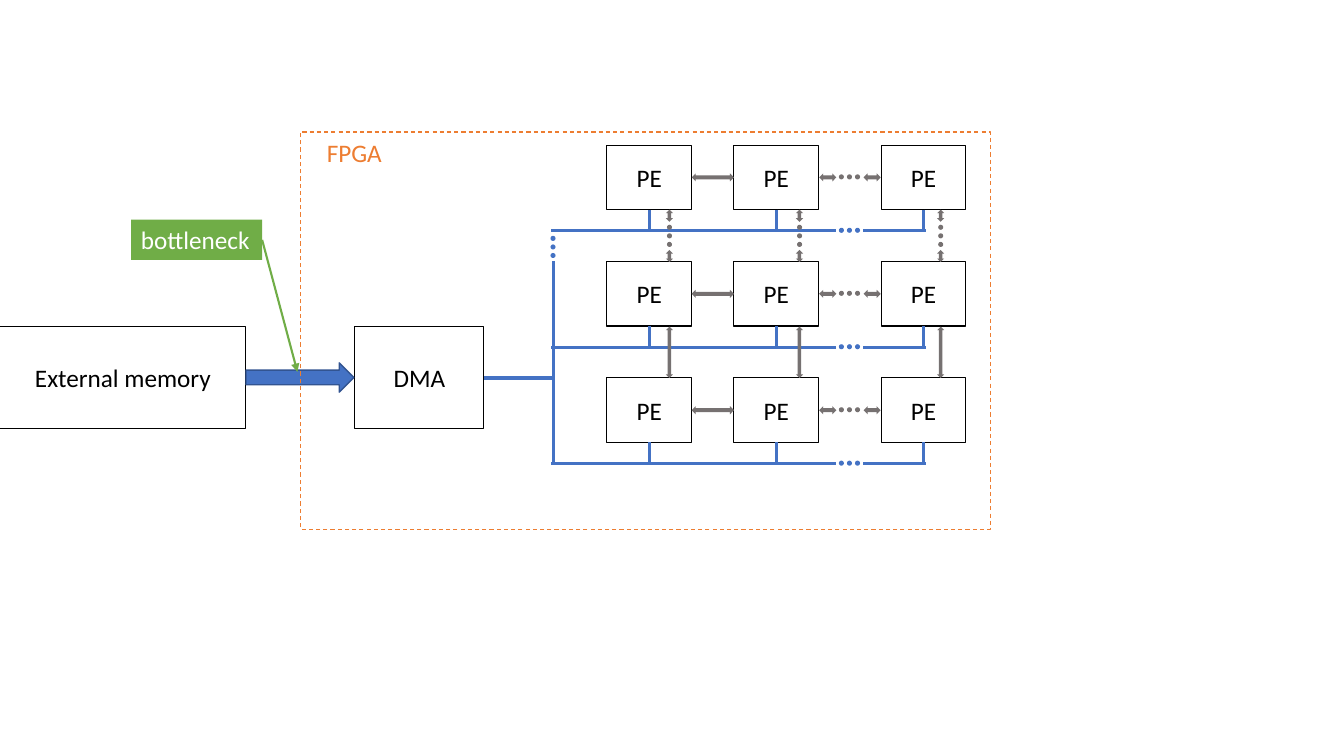
from dataclasses import dataclass

from lxml.etree import SubElement
from pptx import Presentation
from pptx.dml.color import RGBColor
from pptx.enum.dml import MSO_LINE
from pptx.enum.shapes import MSO_CONNECTOR, MSO_SHAPE as SHAPE
from pptx.enum.text import MSO_ANCHOR, PP_ALIGN
from pptx.oxml.ns import qn
from pptx.util import Inches, Pt


@dataclass(frozen=True)
class Theme:
    font: str = "Calibri"
    text_size: int = 18
    black: str = "000000"
    white: str = "FFFFFF"
    blue: str = "4472C4"
    dark_blue: str = "325491"
    orange: str = "ED7D31"
    gray: str = "767171"
    green: str = "70AD47"


theme = Theme()
rgb = RGBColor.from_string

presentation = Presentation()
presentation.slide_width, presentation.slide_height = Inches(13.33), Inches(7.5)
slide = presentation.slides.add_slide(presentation.slide_layouts[6])


def place_shape(kind, left, top, width, height, fill=None, line=None, weight=0.75):
    shape = slide.shapes.add_shape(kind, *map(Inches, (left, top, width, height)))
    shape.shadow.inherit = False
    for part, color in ((shape.fill, fill), (shape.line.fill, line)):
        if color:
            part.solid()
            part.fore_color.rgb = rgb(color)
        else:
            part.background()
    if line:
        shape.line.width = Pt(weight)
    return shape


def draw_line(x1, y1, x2, y2, color=theme.blue, weight=2.25):
    ends = map(Inches, (x1, y1, x2, y2))
    connector = slide.shapes.add_connector(MSO_CONNECTOR.STRAIGHT, *ends)
    connector.line.color.rgb = rgb(color)
    connector.line.width = Pt(weight)
    SubElement(connector._element.spPr, qn("a:effectLst"))
    return connector


# Memory, DMA and the FPGA boundary
captions = []
for text, left, width in (("External memory", 0, 2.44), ("DMA", 3.52, 1.28)):
    block = place_shape(SHAPE.RECTANGLE, left, 3.24, width, 1.01, line=theme.black)
    captions.append((block, text, theme.black))
place_shape(SHAPE.RIGHT_ARROW, 2.44, 3.6, 1.07, 0.29, theme.blue, theme.dark_blue, 1)
boundary = place_shape(SHAPE.RECTANGLE, 2.98, 1.31, 6.84, 3.94, line=theme.orange)
boundary.line.dash_style = MSO_LINE.DASH
fpga_label = slide.shapes.add_textbox(*map(Inches, (2.98, 1.31, 1.07, 0.4)))
captions.append((fpga_label, "FPGA", theme.orange))

# Trunk from the DMA to the row buses
trunk_x, trunk_y = 5.49, 3.75
draw_line(4.8, trunk_y, trunk_x, trunk_y)
draw_line(trunk_x, trunk_y, trunk_x, 2.59)
draw_line(trunk_x, 4.6, trunk_x, trunk_y)

# Grid of processing elements, each row with its bus
pe_width, pe_height = 0.84, 0.64
row_tops = [1.44 + 1.155 * row for row in range(3)]
column_lefts = (6.02, 7.28, 8.74)
dots = [(trunk_x - 0.03, 2.34 + 0.085 * step, theme.blue) for step in range(3)]
for top in row_tops:
    bus_y = top + 0.85
    draw_line(8.29, bus_y, 5.47, bus_y)
    draw_line(9.18, bus_y, 8.56, bus_y)
    for left in column_lefts:
        center = left + pe_width / 2
        element = place_shape(SHAPE.RECTANGLE, left, top, pe_width, pe_height, line=theme.black)
        captions.append((element, "PE", theme.black))
        draw_line(center, top + pe_height, center, bus_y)
    for step in range(3):
        dot_x = 8.32 + 0.08 * step
        dots.append((dot_x, bus_y - 0.03, theme.blue))
        dots.append((dot_x, top + 0.29, theme.gray))

# Links between neighbours: center x, center y, width, length, rotation
links = []
for top in row_tops:
    for center, length in ((7.07, 0.42), (8.21, 0.17), (8.65, 0.17)):
        links.append((center, top + 0.32, 0.08, length, 90))
for center in (6.64, 7.93, 9.33):
    links.append((center, 2.14, 0.07, 0.12, 0))
    links.append((center, 2.54, 0.07, 0.12, 0))
    links.append((center, 3.495, 0.07, 0.51, 0))
    dots += [(center - 0.025, 2.23 + 0.085 * step, theme.gray) for step in range(3)]
for x, y, width, length, rotation in links:
    link = place_shape(SHAPE.UP_DOWN_ARROW, x - width / 2, y - length / 2, width, length, theme.gray)
    link.rotation = rotation
for x, y, color in dots:
    place_shape(SHAPE.OVAL, x, y, 0.05, 0.05, color)

# Bottleneck callout
callout = slide.shapes.add_textbox(*map(Inches, (1.3, 2.18, 1.3, 0.4)))
callout.fill.solid()
callout.fill.fore_color.rgb = rgb(theme.green)
captions.append((callout, "bottleneck", theme.white))
pointer = draw_line(2.6, 2.38, 2.95, 3.69, theme.green, 1.5)
SubElement(pointer.line._get_or_add_ln(), qn("a:tailEnd"), type="triangle")

# Captions
frame_format = {"word_wrap": True, "vertical_anchor": MSO_ANCHOR.MIDDLE}
font_format = {"name": theme.font, "size": Pt(theme.text_size)}
for shape, text, color in captions:
    frame = shape.text_frame
    frame.text = text
    paragraph = frame.paragraphs[0]
    paragraph.alignment = PP_ALIGN.CENTER
    font = paragraph.runs[0].font
    font.color.rgb = rgb(color)
    for target, values in ((frame, frame_format), (font, font_format)):
        for name, value in values.items():
            setattr(target, name, value)
callout.text_frame.word_wrap = False
callout.text_frame.paragraphs[0].alignment = PP_ALIGN.LEFT

presentation.save("out.pptx")
